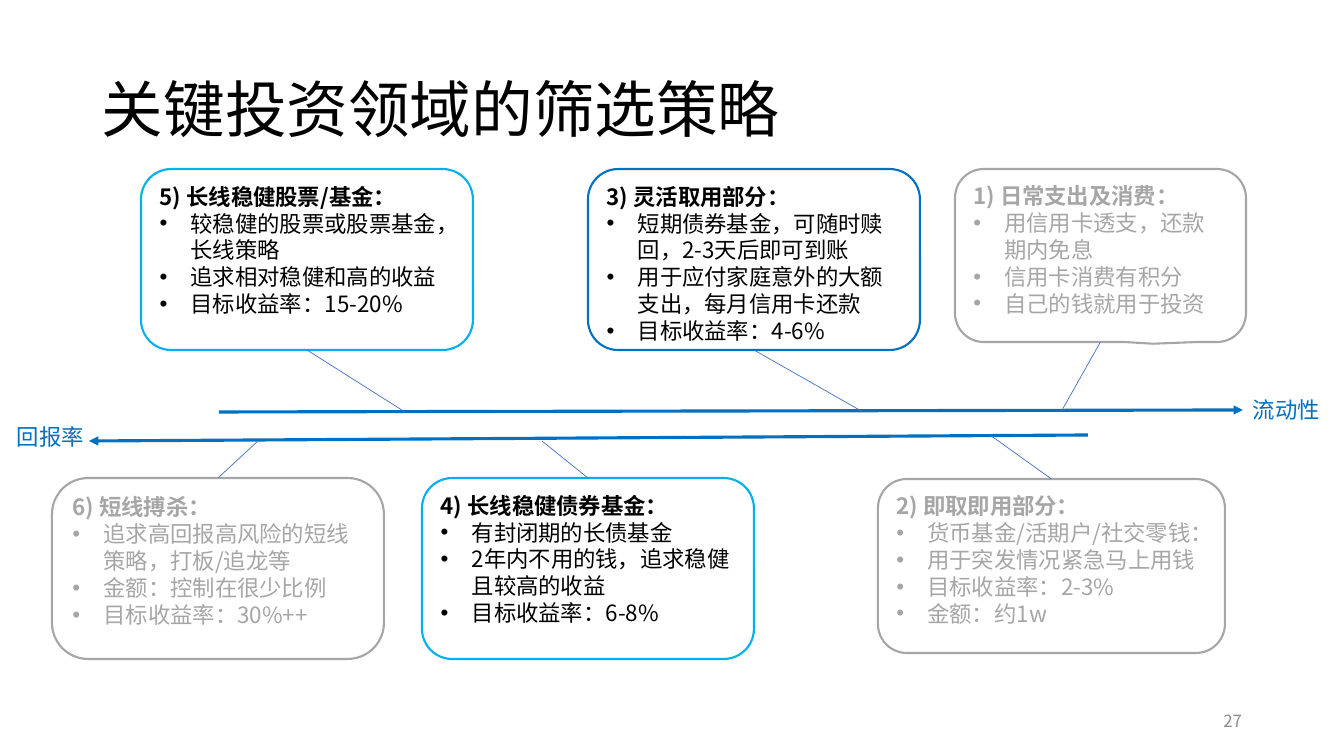
from lxml.etree import SubElement
from pptx import Presentation
from pptx.dml.color import RGBColor
from pptx.enum.shapes import MSO_CONNECTOR, MSO_SHAPE
from pptx.enum.text import MSO_ANCHOR as Anchor, PP_ALIGN as Align
from pptx.oxml.ns import qn
from pptx.util import Emu, Pt

FONT = "Noto Sans CJK SC"
COLORS = {
    "black": "000000",
    "grey": "A6A6A6",
    "number": "8C8C8C",
    "blue": "0070C0",
    "sky": "00B0F0",
    "branch": "4472C4",
}
BOTTOM, TOP = 2, 0  # connection sites

UPPER_Y, LOWER_Y = 169, 478
CARD_W, CARD_H = 332, 181
# box, outline, text colour, side and end of the branch, heading, bullets
CARDS = [
    ((878, 479, 347, 174), "grey", "grey", TOP, (990, 435), "2) 即取即用部分：",
     ["货币基金/活期户/社交零钱：", "用于突发情况紧急马上用钱", "目标收益率：2-3%", "金额：约1w"]),
    ((588, UPPER_Y, CARD_W, CARD_H), "blue", "black", BOTTOM, (863, 412), "3) 灵活取用部分：",
     ["短期债券基金，可随时赎回，2-3天后即可到账",
      "用于应付家庭意外的大额支出，每月信用卡还款", "目标收益率：4-6%"]),
    ((422, LOWER_Y, CARD_W, CARD_H), "sky", "black", TOP, (542, 441), "4) 长线稳健债券基金：",
     ["有封闭期的长债基金", "2年内不用的钱，追求稳健且较高的收益", "目标收益率：6-8%"]),
    ((141, UPPER_Y, CARD_W, CARD_H), "sky", "black", BOTTOM, (405, 412), "5) 长线稳健股票/基金：",
     ["较稳健的股票或股票基金，长线策略", "追求相对稳健和高的收益", "目标收益率：15-20%"]),
    ((52, LOWER_Y, CARD_W, CARD_H), "grey", "grey", TOP, (258, 441), "6) 短线搏杀：",
     ["追求高回报高风险的短线策略，打板/追龙等", "金额：控制在很少比例", "目标收益率：30%++"]),
    ((955, UPPER_Y, 291, 173), "grey", "grey", BOTTOM, (1061, 412), "1) 日常支出及消费：",
     ["用信用卡透支，还款期内免息", "信用卡消费有积分", "自己的钱就用于投资"]),
]


def px(length):
    """Turn pixels, 100.8 to the inch, into EMU."""
    return Emu(round(length * 914400 / 100.8))


def rgb(color):
    return RGBColor.from_string(COLORS[color])


class Page:
    def __init__(self, slide):
        self.shapes = slide.shapes

    def style(self, para, size, color, bold=False):
        font = para.font
        font.size, font.bold, font.name = Pt(size), bold, FONT
        font.color.rgb = rgb(color)
        east_asian = SubElement(para._p.pPr.find(qn("a:defRPr")), qn("a:ea"))
        east_asian.set("typeface", FONT)

    def bullet(self, para):
        props = para._p.get_or_add_pPr()
        props.set("marL", str(px(31)))
        props.set("indent", str(-px(31)))
        SubElement(props, qn("a:buFont")).set("typeface", "Arial")
        SubElement(props, qn("a:buChar")).set("char", "•")

    def text(self, box, words, size, color, anchor=Anchor.TOP, align=Align.LEFT, spacing=None):
        frame = self.shapes.add_textbox(*map(px, box)).text_frame
        frame.word_wrap = True
        frame.vertical_anchor = anchor
        para = frame.paragraphs[0]
        para.text, para.alignment, para.line_spacing = words, align, spacing
        self.style(para, size, color)

    def card(self, box, outline, color, heading, points, callout=False):
        kind = MSO_SHAPE.ROUNDED_RECTANGULAR_CALLOUT if callout else MSO_SHAPE.ROUNDED_RECTANGLE
        shape = self.shapes.add_shape(kind, *map(px, box))
        if callout:
            shape.adjustments[0], shape.adjustments[1] = 0.18, 0.51
        shape.shadow.inherit = False
        shape.fill.background()
        shape.line.color.rgb = rgb(outline)
        shape.line.width = Pt(1.5)
        frame = shape.text_frame
        frame.word_wrap = True
        frame.vertical_anchor = Anchor.TOP
        for index, words in enumerate([heading, *points]):
            para = frame.add_paragraph() if index else frame.paragraphs[0]
            para.text, para.alignment = words, Align.LEFT
            if index:
                self.bullet(para)
            self.style(para, 16, color, bold=index == 0)
        return shape

    def line(self, start, end, color, width):
        line = self.shapes.add_connector(MSO_CONNECTOR.STRAIGHT, *map(px, (*start, *end)))
        line.line.color.rgb = rgb(color)
        line.line.width = Pt(width)
        SubElement(line._element.spPr, qn("a:effectLst"))
        return line

    def axis(self, start, end):
        arrow = self.line(start, end, "blue", 2.25)
        SubElement(arrow.line._get_or_add_ln(), qn("a:tailEnd")).set("type", "triangle")

    def branch(self, card, side, end):
        self.line(end, end, "branch", 0.5).begin_connect(card, side)


def main():
    deck = Presentation()
    deck.slide_width, deck.slide_height = px(1344), px(756)
    page = Page(deck.slides.add_slide(deck.slide_layouts[6]))

    page.text((92, 40, 1160, 146), "关键投资领域的筛选策略", 44, "black", Anchor.MIDDLE, spacing=0.9)
    page.text((950, 701, 302, 40), "27", 12, "number", Anchor.MIDDLE, Align.RIGHT)

    page.axis((219, 412), (1243, 410))
    page.text((1243, 391, 101, 37), "流动性", 16, "blue")
    page.axis((1088, 435), (89, 441))
    page.text((7, 418, 101, 37), "回报率", 16, "blue")

    for box, outline, color, side, end, heading, points in CARDS:
        card = page.card(box, outline, color, heading, points, callout=heading.startswith("1)"))
        if box[1] == LOWER_Y and box[0] == 52:
            card.adjustments[0] = 0.2
        page.branch(card, side, end)

    deck.save("out.pptx")


if __name__ == "__main__":
    main()
